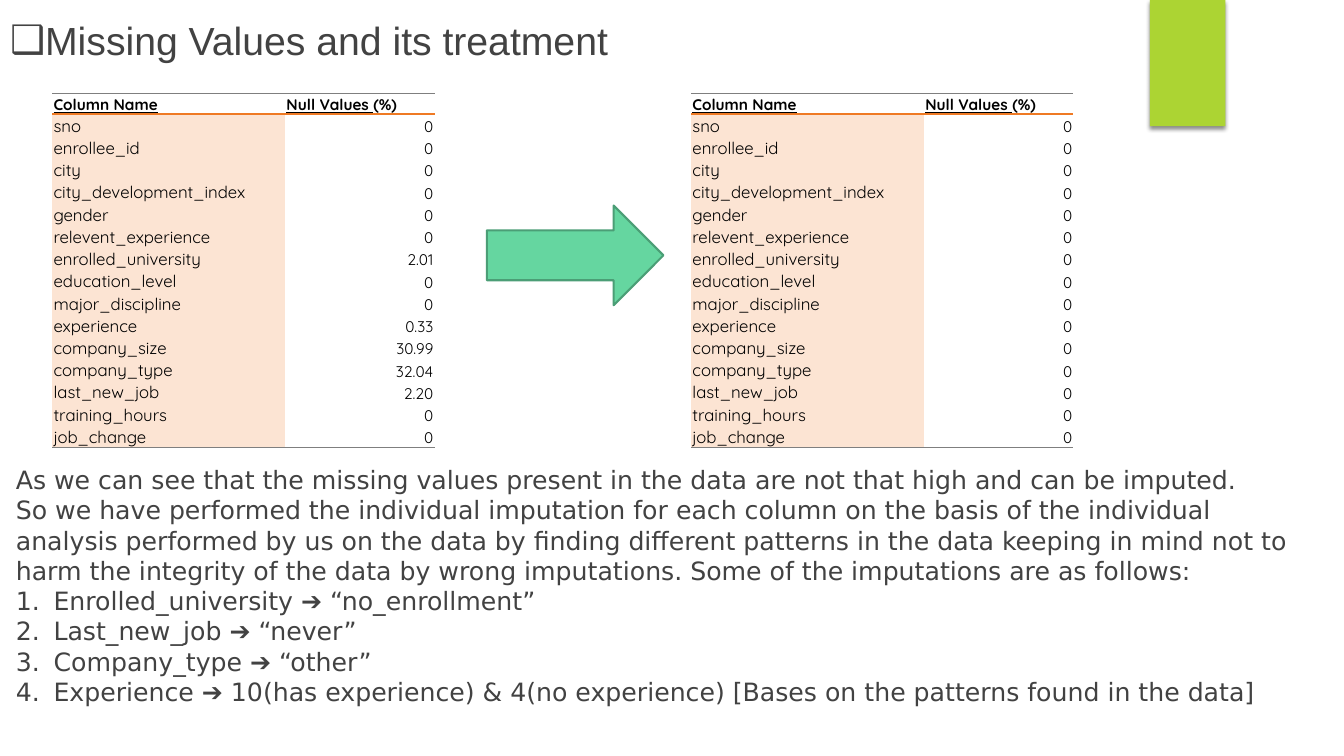
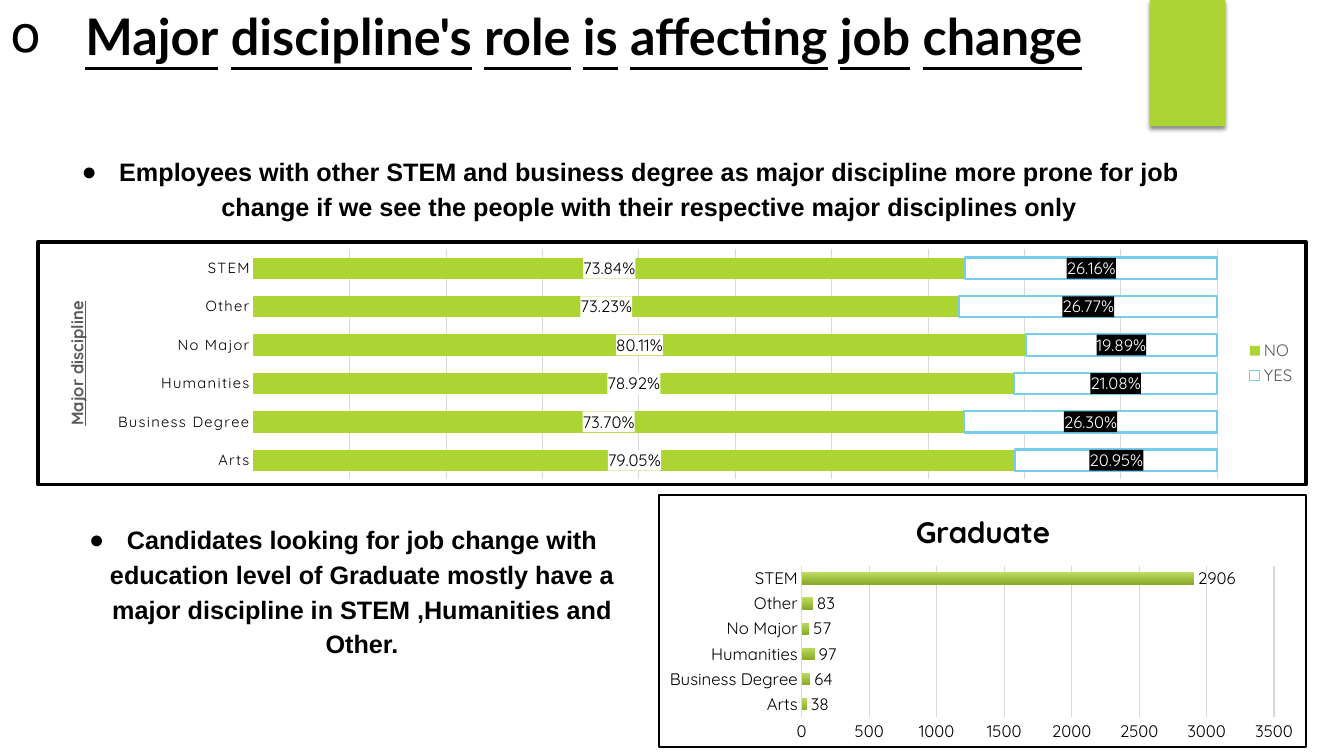
from lxml import etree
from pptx import Presentation
from pptx import util as u
from pptx.chart import data as chart_data
from pptx.dml import color as dml
from pptx.enum import chart as ch
from pptx.enum import shapes, text
from pptx.oxml import parse_xml
from pptx.oxml.ns import nsdecls, qn

LIME, ORANGE, PEACH = "ACD433", "EF7A24", "FCE4D3"
MINT, MINT_EDGE, SKY = "65D6A0", "4B9E76", "75CEEC"
BLACK, WHITE, INK, GREY, RULE, GRID = "000000", "FFFFFF", "424242", "595959", "7F7F7F", "D9D9D9"
NO_TABLE_STYLE = "{2D5ABB26-0587-4C30-8999-92F81FD0307C}"


def rgb(code):
    return dml.RGBColor.from_string(code)


def cm(values):
    return [u.Cm(value) for value in values]


def style(font, **values):
    for name, value in values.items():
        if name == "color":
            font.color.rgb = rgb(value)
        else:
            setattr(font, name, u.Pt(value) if name == "size" else value)


def paint(item, fill=None, line=None, width=1.5):
    if fill:
        item.fill.solid()
        item.fill.fore_color.rgb = rgb(fill)
    if line:
        item.line.color.rgb = rgb(line)
        item.line.width = u.Pt(width)
    else:
        item.line.fill.background()


def solid(code):
    return f'<a:solidFill><a:srgbClr val="{code}"/></a:solidFill>'


def bullet(para, mark, indent, font=None):
    """Hang a bullet character, or a number when the mark is a scheme name."""
    props = para._p.get_or_add_pPr()
    props.set("marL", str(u.Cm(indent)))
    props.set("indent", str(-u.Cm(indent)))
    if font:
        etree.SubElement(props, qn("a:buFont")).set("typeface", font)
    if len(mark) == 1:
        etree.SubElement(props, qn("a:buChar")).set("char", mark)
    else:
        etree.SubElement(props, qn("a:buAutoNum")).set("type", mark)


def write(para, spans, **values):
    """Add runs; each span is a text or a (text, changed values) pair."""
    for span in spans:
        words, changes = (span, {}) if isinstance(span, str) else span
        run = para.add_run()
        run.text = words
        style(run.font, **{**values, **changes})


def border(cell, side, code, width):
    cell._tc.get_or_add_tcPr().insert(0, parse_xml(
        f'<a:{side} {nsdecls("a")} w="{u.Pt(width)}">{solid(code)}</a:{side}>'))


class Deck:
    """The presentation, its shared style and the slide being filled."""
    heading = dict(color=BLACK)
    body = dict(name="DejaVu Sans", size=18, color=INK)
    point = dict(name="Arial", size=18, bold=True, color=BLACK)
    data = dict(name="Quicksand", size=12, color=BLACK)

    def __init__(self):
        self.deck = Presentation()
        self.deck.slide_width, self.deck.slide_height = cm((33.87, 19.05))
        self.layout = self.deck.slide_layouts[5]
        self.page = None

    def add_page(self):
        first = self.page is None
        self.page = self.deck.slides.add_slide(self.layout)
        if first:
            self.add_band()

    def add_band(self):
        """Put the lime band on the layout, so that every slide shows it."""
        band = self.shape("RECTANGLE", (28.98, 0, 1.9, 3.18), LIME)
        band.element.spPr.find(qn("a:effectLst")).append(parse_xml(
            f'<a:outerShdw {nsdecls("a")} blurRad="38100" dist="25400" dir="5400000">'
            f'<a:srgbClr val="{BLACK}"><a:alpha val="45000"/></a:srgbClr></a:outerShdw>'))
        self.layout.shapes.element.append(band.element)

    def title(self, at, spans, mark, indent, mark_font, **values):
        box = self.page.shapes.title
        box.left, box.top, box.width, box.height = cm(at)
        frame = box.text_frame
        frame.vertical_anchor = text.MSO_ANCHOR.TOP
        frame.auto_size = text.MSO_AUTO_SIZE.NONE
        para = frame.paragraphs[0]
        para.alignment = text.PP_ALIGN.LEFT
        bullet(para, mark, indent, mark_font)
        write(para, spans, **{**self.heading, **values})

    def shape(self, kind, at, fill, line=None):
        shape = self.page.shapes.add_shape(getattr(shapes.MSO_SHAPE, kind), *cm(at))
        shape.shadow.inherit = False
        paint(shape, fill, line)
        return shape

    def statement(self, at, words):
        box = self.shape("RECTANGLE", at, WHITE, WHITE)
        box.text_frame.word_wrap = True
        para = box.text_frame.paragraphs[0]
        para.alignment = text.PP_ALIGN.CENTER
        para.line_spacing, para.space_after = 1.15, u.Pt(7)
        bullet(para, "●", 0.95, "Arial")
        write(para, [words], **self.point)

    def paragraphs(self, at, intro, steps):
        frame = self.page.shapes.add_textbox(*cm(at)).text_frame
        frame.word_wrap = True
        for index, words in enumerate(intro + steps):
            para = frame.add_paragraph() if index else frame.paragraphs[0]
            if index >= len(intro):
                bullet(para, "arabicPeriod", 0.95)
            write(para, [words], **self.body)

    def null_table(self, left, rows):
        frame = self.page.shapes.add_table(len(rows) + 1, 2, *cm((left, 2.36, 9.63, 8.76)))
        table = frame.table
        table.first_row = table.horz_banding = False
        next(frame.element.iter(qn("a:tableStyleId"))).text = NO_TABLE_STYLE
        for column, width in zip(table.columns, cm((5.87, 3.76))):
            column.width = width
        for index, row in enumerate(table.rows):
            row.height = u.Cm(0.55 if index else 0.51)
        header = (["Column Name"], ["Null Values ", ("(%)", dict(underline=False))])
        for column, spans in enumerate(header):
            cell = self.cell(table, 0, column, spans, size=11, bold=True, underline=True)
            border(cell, "lnB", ORANGE, 1.5)
            border(cell, "lnT", RULE, 0.75)
        for index, (name, share) in enumerate(rows, 1):
            label = self.cell(table, index, 0, [name])
            label.vertical_anchor = text.MSO_ANCHOR.MIDDLE
            label.fill.solid()
            label.fill.fore_color.rgb = rgb(PEACH)
            value = self.cell(table, index, 1, [share], size=11)
            value.text_frame.paragraphs[0].alignment = text.PP_ALIGN.RIGHT
        for column in range(2):
            border(table.cell(len(rows), column), "lnB", RULE, 0.75)

    def cell(self, table, row, column, spans, **values):
        cell = table.cell(row, column)
        cell.margin_left = cell.margin_right = cell.margin_top = u.Cm(0.03)
        cell.margin_bottom = 0
        cell.vertical_anchor = text.MSO_ANCHOR.BOTTOM
        cell.fill.background()
        write(cell.text_frame.paragraphs[0], spans, **{**self.data, **values})
        return cell

    def bar_chart(self, kind, at, categories, series, plot_at, frame_width, gap, overlap, top, step):
        """Add a framed bar chart; plot_at gives the plot area as shares of the chart."""
        source = chart_data.CategoryChartData()
        source.categories = categories
        for name, values in series.items():
            source.add_series(name, values)
        chart = self.page.shapes.add_chart(
            getattr(ch.XL_CHART_TYPE, kind), *cm(at), source).chart
        chart.has_title = chart.has_legend = False
        style(chart.font, **self.data)
        space = chart.element
        space.find(qn("c:chart")).addnext(parse_xml(
            f'<c:spPr {nsdecls("c", "a")}>{solid(WHITE)}'
            f'<a:ln w="{u.Pt(frame_width)}">{solid(BLACK)}</a:ln></c:spPr>'))
        area = next(space.iter(qn("c:plotArea")))
        for old in area.findall(qn("c:layout")):
            area.remove(old)
        places = "".join(f'<c:{key} val="{value}"/>' for key, value in zip("xywh", plot_at))
        area.insert(0, parse_xml(
            f'<c:layout {nsdecls("c")}><c:manualLayout><c:layoutTarget val="inner"/>'
            f'<c:xMode val="edge"/><c:yMode val="edge"/>{places}</c:manualLayout></c:layout>'))
        plot = chart.plots[0]
        plot.gap_width, plot.overlap, plot.vary_by_categories = gap, overlap, False
        for axis in (chart.category_axis, chart.value_axis):
            axis.major_tick_mark = axis.minor_tick_mark = ch.XL_TICK_MARK.NONE
            style(axis.tick_labels.font, **self.data)
        scale = chart.value_axis
        scale.minimum_scale, scale.maximum_scale, scale.major_unit = 0, top, step
        scale.format.line.fill.background()
        grid = scale.major_gridlines.format.line
        grid.color.rgb, grid.width = rgb(GRID), u.Pt(0.75)
        return chart

    def labels(self, series, place, number_format, **values):
        labels = series.data_labels
        labels.show_value = True
        labels.number_format, labels.number_format_is_linked = number_format, False
        labels.position = getattr(ch.XL_LABEL_POSITION, place)
        style(labels.font, **{**self.data, **values})


def missing_values(deck):
    deck.add_page()
    deck.title((0, 0.28, 28.78, 2.24), ["Missing Values and its treatment"],
               "❑", 0.8, "Arial", name="Arial", size=28, color=INK)
    names = ("sno enrollee_id city city_development_index gender relevent_experience "
             "enrolled_university education_level major_discipline experience company_size "
             "company_type last_new_job training_hours job_change").split()
    missing = dict(enrolled_university="2.01", experience="0.33", company_size="30.99",
                   company_type="32.04", last_new_job="2.20")
    for left, shares in ((1.32, missing), (17.42, {})):
        deck.null_table(left, [(name, shares.get(name, "0")) for name in names])
    deck.shape("RIGHT_ARROW", (12.27, 5.18, 4.45, 2.51), MINT, MINT_EDGE)
    deck.paragraphs((0.15, 11.58, 33.35, 7.19), [
        "As we can see that the missing values present in the data are not that high and "
        "can be imputed.",
        "So we have performed the individual imputation for each column on the basis of the "
        "individual analysis performed by us on the data by finding different patterns in the "
        "data keeping in mind not to harm the integrity of the data by wrong imputations. "
        "Some of the imputations are as follows:",
    ], [
        "Enrolled_university ➔ “no_enrollment”",
        "Last_new_job ➔ “never”",
        "Company_type ➔ “other”",
        "Experience ➔ 10(has experience) & 4(no experience) "
        "[Bases on the patterns found in the data]",
    ])


def discipline_shares(deck, categories):
    no_shares = (0.7905, 0.737, 0.7892, 0.8011, 0.7323, 0.7384)
    chart = deck.bar_chart(
        "BAR_STACKED_100", (0.91, 6.05, 32.05, 6.2), categories,
        {"NO": no_shares, "YES": [round(1 - share, 4) for share in no_shares]},
        (0.17, 0.03, 0.76, 0.95), 2.5, 79, 100, 1, 0.1)
    chart.value_axis.visible = False
    axis = chart.category_axis
    axis.format.line.color.rgb = rgb(WHITE)
    axis.tick_labels.font.size = u.Pt(10.6)
    next(axis._element.iter(qn("a:defRPr"))).set("spc", "100")
    write(axis.axis_title.text_frame.paragraphs[0], ["Major discipline"],
          **{**deck.data, "bold": True, "underline": True, "color": GREY})
    chart.has_legend = True
    chart.legend.position = ch.XL_LEGEND_POSITION.RIGHT
    chart.legend.include_in_layout = False
    style(chart.legend.font, **{**deck.data, "color": GREY})
    looks = ((LIME, None, BLACK, WHITE), (WHITE, SKY, WHITE, BLACK))
    for series, (fill, line, ink, back) in zip(chart.plots[0].series, looks):
        paint(series.format, fill, line)
        deck.labels(series, "CENTER", "0.00%", color=ink)
        label_text = series._element.find(qn("c:dLbls")).find(qn("c:txPr"))
        label_text.addprevious(parse_xml(
            f'<c:spPr {nsdecls("c", "a")}>{solid(back)}</c:spPr>'))


def graduates(deck, categories):
    chart = deck.bar_chart(
        "BAR_CLUSTERED", (16.59, 12.45, 16.36, 6.4), categories,
        {"Graduate": (38, 64, 97, 57, 83, 2906)},
        (0.22, 0.28, 0.73, 0.6), 1.5, 115, -20, 3500, 500)
    chart.has_title = True
    write(chart.chart_title.text_frame.paragraphs[0], ["Graduate"],
          **{**deck.data, "size": 21.3, "bold": True})
    chart.category_axis.format.line.color.rgb = rgb(GRID)
    series = chart.plots[0].series[0]
    fill = series.format.fill
    fill.gradient()
    fill.gradient_angle = 270
    for stop, code in zip(fill.gradient_stops, ("BCDC62", "8AAA29")):
        stop.color.rgb = rgb(code)
    deck.labels(series, "OUTSIDE_END", "General")


def major_discipline(deck):
    deck.add_page()
    spans = []
    for word in "Major discipline's role is affecting job change".split():
        spans += [(" ", dict(underline=False)), word]
    deck.title((0, 0, 29.18, 5.64), spans[1:], "o", 1.9, "DejaVu Sans",
               name="Lato", size=36, bold=True, underline=True)
    deck.statement((0.91, 3.73, 29.95, 1.96),
                   "Employees with other STEM and business degree as major discipline more prone "
                   "for job change if we see the people with their respective major disciplines only")
    deck.statement((1.5, 13, 14.3, 3.71),
                   "Candidates looking for job change with education level of Graduate mostly have "
                   "a major discipline in STEM ,Humanities and Other.")
    categories = ["Arts", "Business Degree", "Humanities", "No Major", "Other", "STEM"]
    discipline_shares(deck, categories)
    graduates(deck, categories)


def main():
    deck = Deck()
    missing_values(deck)
    major_discipline(deck)
    deck.deck.save("out.pptx")


if __name__ == "__main__":
    main()
